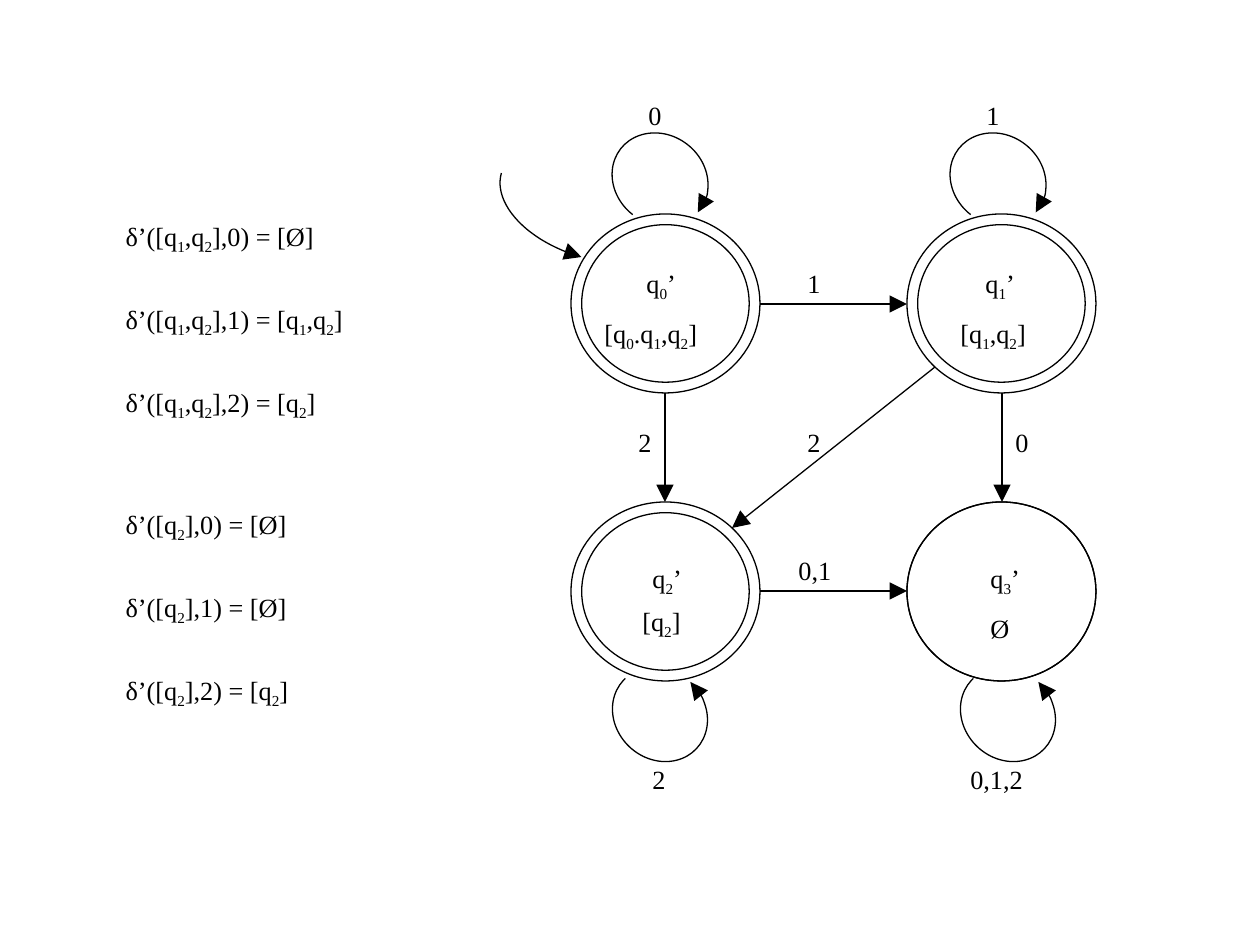
from math import cos, pi, sin

from lxml import etree
from pptx import Presentation
from pptx.dml.color import RGBColor
from pptx.enum.shapes import MSO_CONNECTOR, MSO_SHAPE
from pptx.enum.text import MSO_ANCHOR, MSO_AUTO_SIZE, PP_ALIGN
from pptx.oxml.ns import qn
from pptx.util import Pt

PX = 914400 / 126
BLACK = RGBColor(0, 0, 0)
WHITE = RGBColor(255, 255, 255)


def write(paragraph, text):
    """Add text in which the character after each underscore is a subscript."""
    first, *rest = text.split("_")
    pieces = [(first, False)]
    for part in rest:
        pieces += [(part[0], True), (part[1:], False)]
    for piece, lowered in pieces:
        if piece:
            run = paragraph.add_run()
            run.text = piece
            run.font.name = "Times New Roman"
            run.font.size = Pt(15)
            run.font.color.rgb = BLACK
            if lowered:
                run.font._element.set("baseline", "-25000")


def outline(shape, arrow=None):
    """Thin black line, with an arrowhead at headEnd or tailEnd if asked for."""
    shape.line.color.rgb = BLACK
    shape.line.width = Pt(0.75)
    if arrow:
        line = shape.line._get_or_add_ln()
        etree.SubElement(line, qn("a:" + arrow), type="triangle", w="lg", len="lg")


prs = Presentation()
prs.slide_width, prs.slide_height = round(1260 * PX), round(945 * PX)
slide = prs.slides.add_slide(prs.slide_layouts[1])
shapes = slide.shapes
title = shapes.title._element
title.getparent().remove(title)

# Transition function list
rules = slide.placeholders[1]
rules.left, rules.top, rules.width, rules.height = [
    round(v * PX) for v in (54, 175, 309, 534)]
frame = rules.text_frame
frame.auto_size = MSO_AUTO_SIZE.NONE
frame.vertical_anchor = MSO_ANCHOR.TOP
frame.margin_top = round(45 * PX)
transitions = [
    "δ’([q_1,q_2],0) = [Ø]",
    "δ’([q_1,q_2],1) = [q_1,q_2]",
    "δ’([q_1,q_2],2) = [q_2]",
    "δ’([q_2],0) = [Ø]",
    "δ’([q_2],1) = [Ø]",
    "δ’([q_2],2) = [q_2]",
]
for i, transition in enumerate(transitions):
    paragraph = frame.paragraphs[0] if i == 0 else frame.add_paragraph()
    paragraph.alignment = PP_ALIGN.LEFT
    paragraph.line_spacing = 1.0
    paragraph.space_before = Pt((0, 27, 27, 49, 27, 27)[i])
    props = paragraph._p.get_or_add_pPr()
    props.set("marL", str(round(59 * PX)))
    props.set("indent", "0")
    etree.SubElement(props, qn("a:buNone"))
    write(paragraph, transition)

# States: a double ring when accepting
STATE_W, STATE_H = 189, 179
LEFT, RIGHT, TOP, BOTTOM = 571, 907, 214, 502
for x, y, ring in [(LEFT, TOP, 0.06), (RIGHT, TOP, 0.06),
                   (LEFT, BOTTOM, 0.06), (RIGHT, BOTTOM, 0)]:
    state = shapes.add_shape(MSO_SHAPE.DONUT, *[
        round(v * PX) for v in (x, y, STATE_W, STATE_H)])
    state.adjustments[0] = ring
    state.shadow.inherit = False
    state.fill.solid()
    state.fill.fore_color.rgb = WHITE
    outline(state)

# Arrows between states
for ends in [
    (760, 304, 907, 304),
    (935, 367, 732, 528),
    (665, 393, 665, 502),
    (760, 591, 907, 591),
    (1002, 393, 1002, 502),
]:
    arrow = shapes.add_connector(MSO_CONNECTOR.STRAIGHT, *[round(v * PX) for v in ends])
    outline(arrow, "tailEnd")
    etree.SubElement(arrow._element.spPr, qn("a:effectLst"))

# Self-loops, from 270 to 183 degrees
for x, y, angle, end in [
    (610, 670, 43.1, "headEnd"),
    (958, 670, 43.1, "headEnd"),
    (610, 135, 218, "tailEnd"),
    (948, 135, 218, "tailEnd"),
]:
    loop = shapes.add_shape(MSO_SHAPE.ARC, *[round(v * PX) for v in (x, y, 100, 89)])
    loop.adjustments[0] = 270 * 0.6
    loop.adjustments[1] = 183 * 0.6
    loop.rotation = angle
    loop.shadow.inherit = False
    loop.fill.background()
    outline(loop, end)

# Start arrow: a quarter ellipse
ENTRY_X, ENTRY_Y, ENTRY_W, ENTRY_H = 512, 165, 59, 100
STEPS = 24
curve = [(round((ENTRY_X + ENTRY_W * (1 - sin(t))) * PX),
          round((ENTRY_Y + ENTRY_H * (1 - cos(t))) * PX))
         for t in [pi / 2 * i / STEPS for i in range(STEPS + 1)]]
builder = shapes.build_freeform(*curve[0])
builder.add_line_segments(curve[1:], close=False)
entry = builder.convert_to_shape()
entry.rotation = 285.8
entry.shadow.inherit = False
entry.fill.background()
outline(entry, "tailEnd")

# Input symbols and state names
for text, x, y, width in [
    ("0", 636, 93, 39), ("1", 974, 93, 39),
    ("2", 640, 757, 39), ("0,1,2", 958, 757, 78),
    ("2", 626, 420, 39), ("2", 795, 420, 39),
    ("1", 795, 261, 39), ("0", 1003, 420, 39),
    ("0,1", 786, 548, 58),
    ("[q_0.q_1,q_2]", 592, 311, 122), ("[q_1,q_2]", 948, 311, 93),
    ("[q_2]", 630, 599, 64), ("Ø", 978, 606, 44),
    ("q_0’", 634, 261, 55), ("q_1’", 973, 261, 55),
    ("q_2’", 640, 556, 55), ("q_3’", 978, 556, 55),
]:
    label = shapes.add_textbox(*[round(v * PX) for v in (x, y, width, 44)])
    label.text_frame.word_wrap = False
    label.text_frame.auto_size = MSO_AUTO_SIZE.SHAPE_TO_FIT_TEXT
    write(label.text_frame.paragraphs[0], text)

prs.save("out.pptx")
